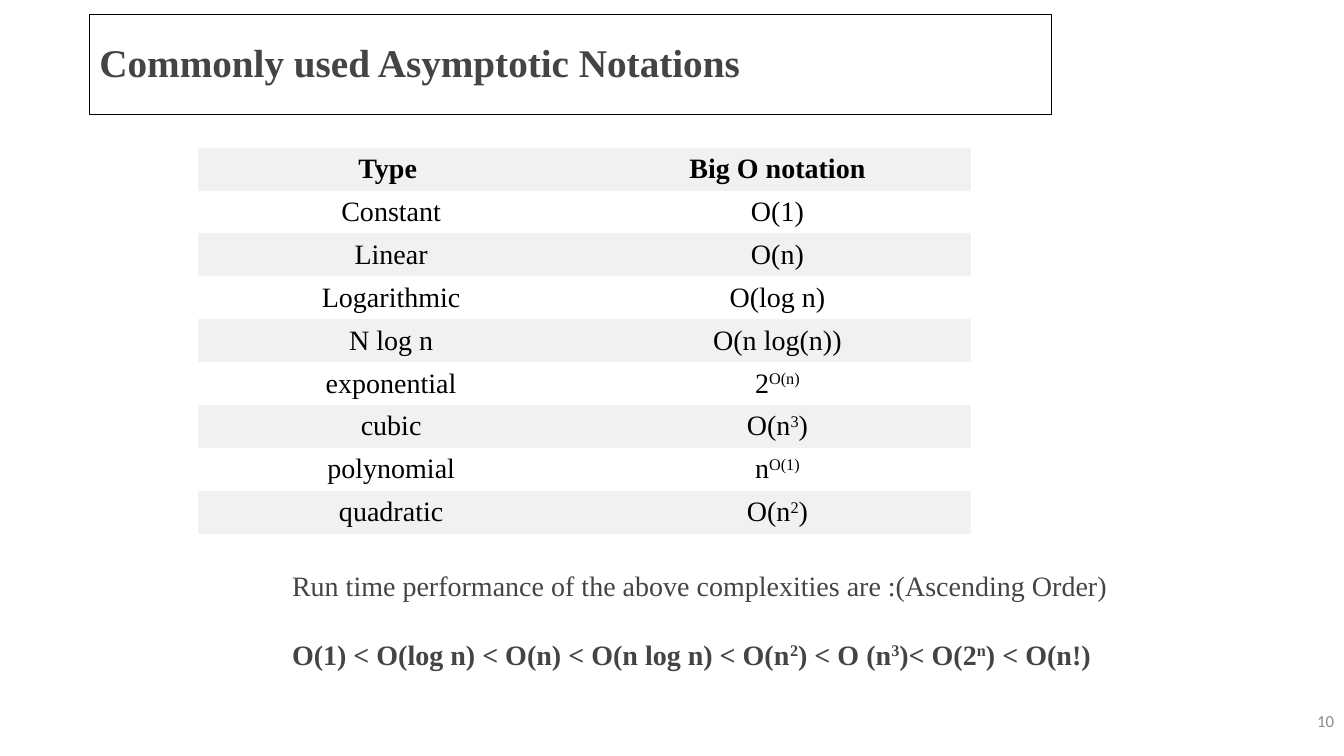
from lxml import etree
from pptx import Presentation
from pptx import util as u
from pptx.dml.color import RGBColor
from pptx.enum import text
from pptx.oxml import ns

BLACK = RGBColor(0x00, 0x00, 0x00)
WHITE = RGBColor(0xFF, 0xFF, 0xFF)
CHARCOAL = RGBColor(0x44, 0x44, 0x44)
GREY = RGBColor(0x8C, 0x8C, 0x8C)
BAND = RGBColor(0xF1, 0xF1, 0xF1)

SERIF = "Times New Roman"
PLAIN_TABLE = "{2D5ABB26-0587-4C30-8999-92F81FD0307C}"

NOTATIONS = [
    ("Type ", "Big O notation"),
    ("Constant", "O(1)"),
    ("Linear", "O(n)"),
    ("Logarithmic", "O(log n)"),
    ("N log n", "O(n log(n))"),
    ("exponential", "2|O(n)|"),
    ("cubic", "O(n|3|)"),
    ("polynomial", "n|O(1)|"),
    ("quadratic", "O(n|2|)"),
]
ORDERING = "O(1) < O(log n) < O(n) < O(n log n) < O(n|2|) < O (n|3|)< O(2|n|) < O(n!)"


def write(para, wording, size, color, bold=False, name=SERIF):
    looks = {"name": name, "size": u.Pt(size), "bold": bold}
    for index, part in enumerate(wording.split("|")):
        if not part:
            continue
        span = para.add_run()
        span.text = part
        for key, value in looks.items():
            setattr(span.font, key, value)
        span.font.color.rgb = color
        if index % 2:
            span.font._element.set("baseline", "30000")


def add_title(page, left, top, width, height):
    title = page.shapes.title
    place = {"left": left, "top": top, "width": width, "height": height}
    for key, value in place.items():
        setattr(title, key, u.Cm(value))
    title.line.color.rgb = BLACK
    title.line.width = u.Pt(0.75)
    frame = title.text_frame
    frame.vertical_anchor = text.MSO_ANCHOR.MIDDLE
    para = frame.paragraphs[0]
    para.alignment = text.PP_ALIGN.LEFT
    para.line_spacing = 0.9
    write(para, "Commonly used Asymptotic Notations", 28, CHARCOAL, bold=True)


def add_bottom_border(cell):
    border = etree.Element(ns.qn("a:lnB"), w=str(u.Pt(0.5)))
    fill = etree.SubElement(border, ns.qn("a:solidFill"))
    etree.SubElement(fill, ns.qn("a:srgbClr"), val=str(BAND))
    cell._tc.get_or_add_tcPr().insert(0, border)


def add_notations(page, left, top, width, height):
    frame = page.shapes.add_table(
        len(NOTATIONS), 2, u.Cm(left), u.Cm(top), u.Cm(width), u.Cm(height))
    table = frame.table
    table._tbl.tblPr.find(ns.qn("a:tableStyleId")).text = PLAIN_TABLE
    margins = ("margin_left", "margin_right", "margin_top", "margin_bottom")
    for row, entries in enumerate(NOTATIONS):
        for column, wording in enumerate(entries):
            cell = table.cell(row, column)
            for margin in margins:
                setattr(cell, margin, u.Cm(0.08))
            cell.vertical_anchor = text.MSO_ANCHOR.MIDDLE
            cell.fill.solid()
            cell.fill.fore_color.rgb = WHITE if row % 2 else BAND
            if row in (0, len(NOTATIONS) - 1):
                add_bottom_border(cell)
            para = cell.text_frame.paragraphs[0]
            para.alignment = text.PP_ALIGN.CENTER
            write(para, wording, 20, BLACK, bold=row == 0)


def add_text_frame(page, left, top, width, height):
    box = page.shapes.add_textbox(
        u.Cm(left), u.Cm(top), u.Cm(width), u.Cm(height))
    box.text_frame.word_wrap = True
    return box.text_frame


def add_ordering(page, left, top, width, height):
    frame = add_text_frame(page, left, top, width, height)
    write(frame.paragraphs[0],
          "Run time performance of the above complexities are :(Ascending Order)",
          20, CHARCOAL)
    para = frame.add_paragraph()
    para.space_before = u.Pt(25)
    write(para, ORDERING, 20, CHARCOAL, bold=True)


def add_page_number(page, left, top, width, height):
    frame = add_text_frame(page, left, top, width, height)
    frame.vertical_anchor = text.MSO_ANCHOR.MIDDLE
    para = frame.paragraphs[0]
    para.alignment = text.PP_ALIGN.RIGHT
    write(para, "10", 12, GREY, name="Calibri")


def main():
    deck = Presentation()
    deck.slide_width = u.Cm(33.87)
    deck.slide_height = u.Cm(19.05)
    page = deck.slides.add_slide(deck.slide_layouts.get_by_name("Title Only"))
    add_title(page, 2.25, 0.37, 24.25, 2.52)
    add_notations(page, 4.99, 3.72, 19.47, 9.73)
    add_ordering(page, 7.11, 14.2, 23.8, 2.82)
    add_page_number(page, 26.25, 17.65, 7.62, 1.02)
    deck.save("out.pptx")


if __name__ == "__main__":
    main()
